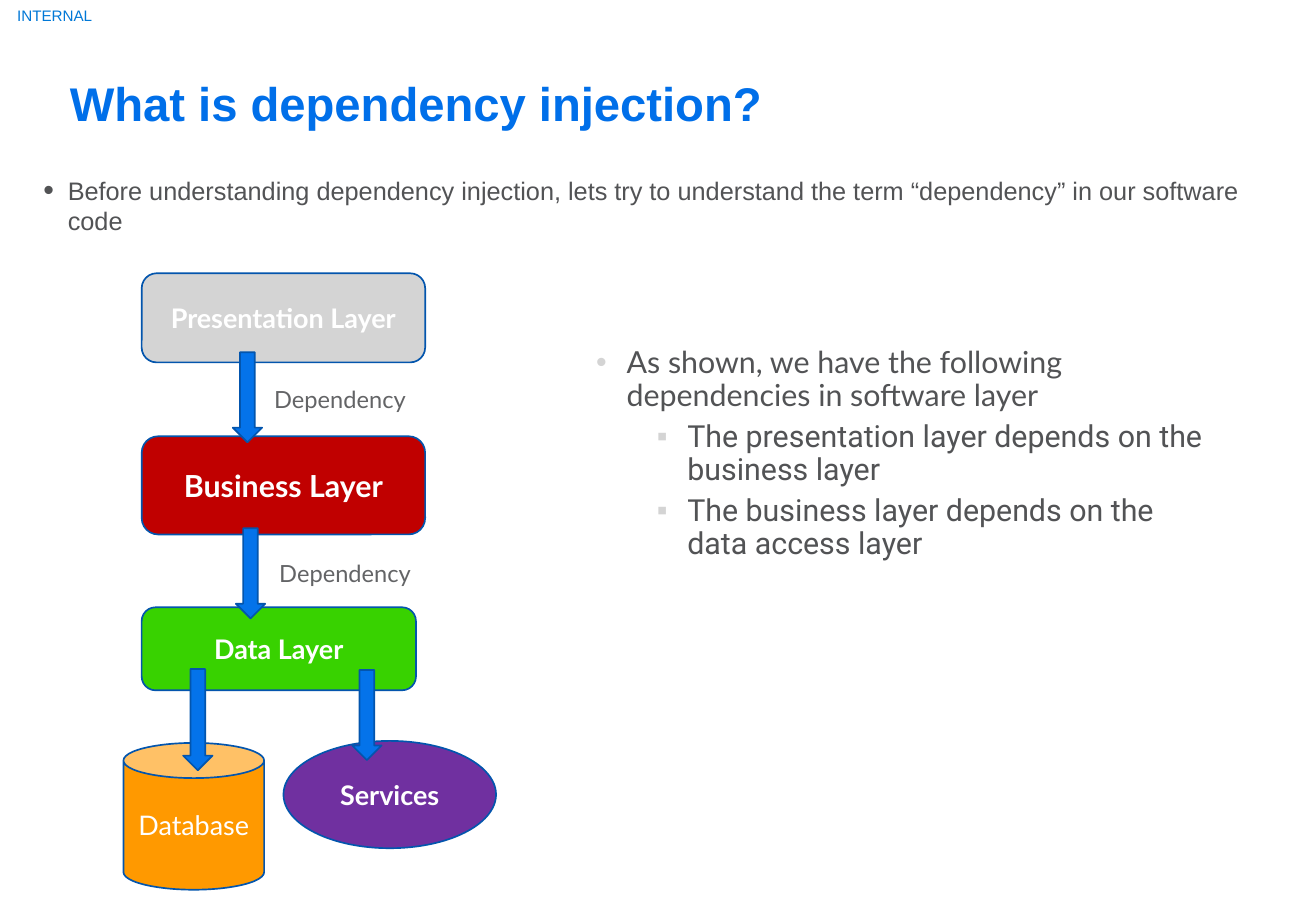
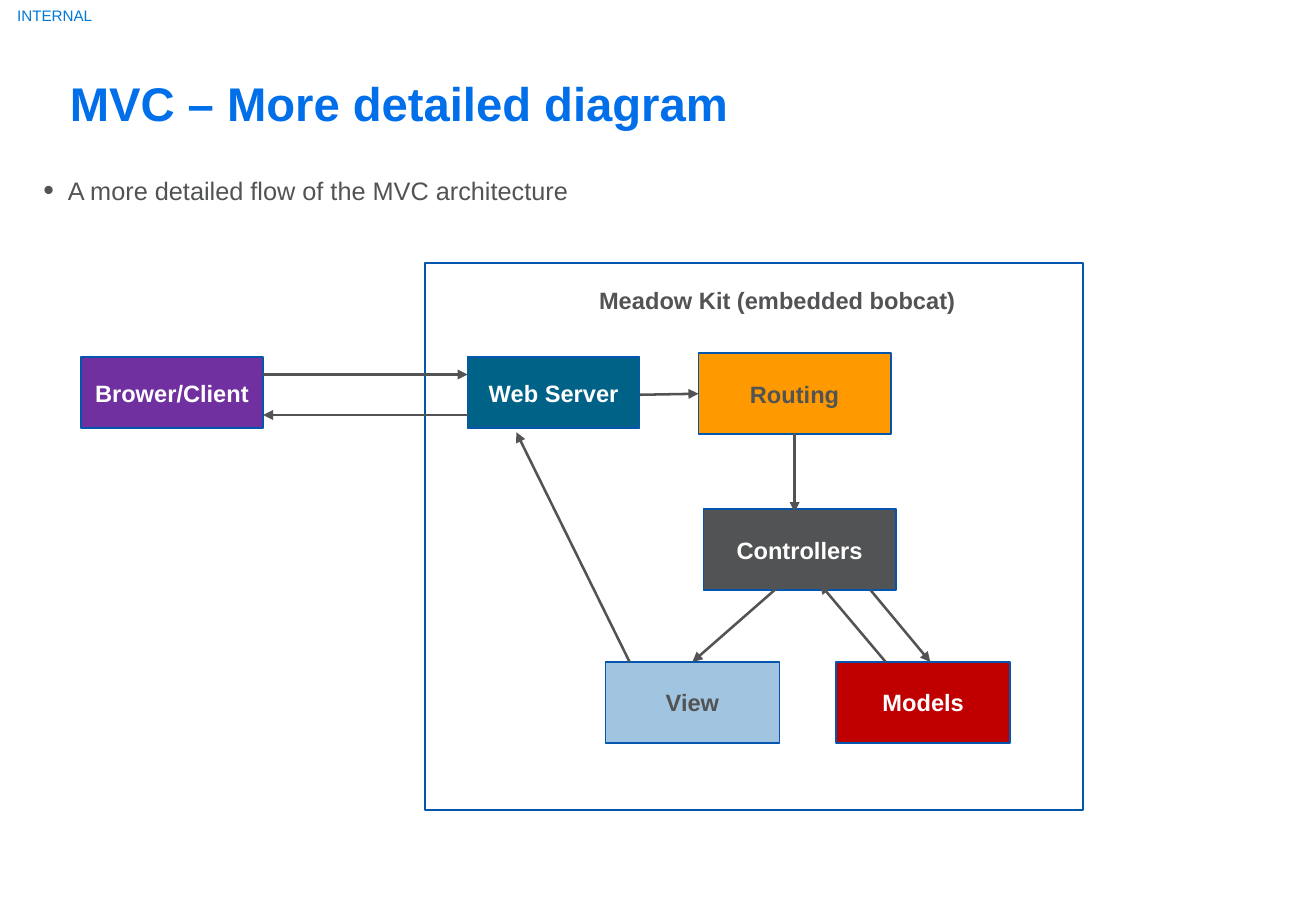
from lxml.etree import SubElement
from pptx import Presentation
from pptx.dml.color import RGBColor
from pptx.enum.shapes import MSO_CONNECTOR as CONN, MSO_SHAPE as SHAPE
from pptx.enum.text import MSO_ANCHOR as ANCHOR, PP_ALIGN as ALIGN
from pptx.oxml.ns import qn
from pptx.util import Inches, Pt

COLS, ROWS = 130, 90
CELL = Inches(1 / 12)
BLUE, EDGE, ARROW = "006FE9", "0355AD", "0473EA"
TEXT, LABEL, PALE, WHITE = "525355", "636466", "D4D4D4", "FFFFFF"
ORANGE, RED, PURPLE = "FF9900", "C00000", "7030A0"


def rgb(value):
    """Turn a hex string into a colour."""
    return RGBColor.from_string(value)


def grid(*values):
    """Turn grid cells into slide lengths."""
    return [round(v * CELL) for v in values]


def inside(box, x, y, w, h):
    """Offset a rectangle by the corner of its region."""
    return box[0] + x, box[1] + y, w, h


def write(p, text, size, color, font="Arial", bold=False):
    """Add one styled run to a paragraph."""
    r = p.add_run()
    r.text = text
    r.font.size, r.font.name, r.font.bold = Pt(size), font, bold
    r.font.color.rgb = rgb(color)


def frame(s, box, inset=False):
    """Add a wrapping text box and return its text frame."""
    tf = s.shapes.add_textbox(*grid(*box)).text_frame
    tf.word_wrap = True
    if not inset:
        tf.margin_left = tf.margin_right = tf.margin_top = tf.margin_bottom = 0
    return tf


def bullet(p, char, left, hang, color=None, percent=None):
    """Give a paragraph a hanging bullet."""
    pPr = p._p.get_or_add_pPr()
    pPr.set("marL", str(Inches(left)))
    pPr.set("indent", str(-Inches(hang)))
    if color:
        SubElement(SubElement(pPr, qn("a:buClr")), qn("a:srgbClr"), val=color)
    if percent:
        SubElement(pPr, qn("a:buSzPct"), val=str(percent * 1000))
    SubElement(pPr, qn("a:buFont"), typeface="Arial")
    SubElement(pPr, qn("a:buChar"), char=char)


def shape(s, kind, box, fill=None):
    """Add an outlined shape, filled if a colour is given."""
    sp = s.shapes.add_shape(kind, *grid(*box))
    sp.shadow.inherit = False
    if fill:
        sp.fill.solid()
        sp.fill.fore_color.rgb = rgb(fill)
    else:
        sp.fill.background()
    sp.line.color.rgb = rgb(EDGE)
    sp.line.width = Pt(1)
    return sp


def node(s, kind, box, fill, text, size, color=WHITE, font="Arial", bold=True):
    """Add a shape with a centred caption."""
    tf = shape(s, kind, box, fill).text_frame
    tf.word_wrap = True
    tf.vertical_anchor = ANCHOR.MIDDLE
    p = tf.paragraphs[0]
    p.alignment = ALIGN.CENTER
    write(p, text, size, color, font, bold)


def arrow(s, box, x1, y1, x2, y2):
    """Draw a line with an arrowhead at its end."""
    dx, dy = box[:2]
    c = s.shapes.add_connector(
        CONN.STRAIGHT, *grid(dx + x1, dy + y1, dx + x2, dy + y2))
    c.line.color.rgb = rgb(TEXT)
    c.line.width = Pt(1.5)
    SubElement(c.line._get_or_add_ln(), qn("a:tailEnd"), type="triangle")
    SubElement(c._element.spPr, qn("a:effectLst"))


def base_slide(prs, title, intro):
    """Add a slide with its marking, title and opening bullet."""
    s = prs.slides.add_slide(prs.slide_layouts[6])
    tf = frame(s, (0, 0, 10.8, 3.1))
    tf.vertical_anchor = ANCHOR.MIDDLE
    tf.paragraphs[0].alignment = ALIGN.CENTER
    write(tf.paragraphs[0], "INTERNAL", 9, "0078D7")
    p = frame(s, (6.9, 9.1, 104.4, 7.9)).paragraphs[0]
    p.line_spacing = Pt(22.8)
    write(p, title, 28, BLUE, bold=True)
    p = frame(s, (4.3, 17.3, 121, 6)).paragraphs[0]
    p.line_spacing = Pt(17.9)
    bullet(p, "•", 0.2, 0.2, percent=120)
    write(p, intro, 15, TEXT)
    return s


def layer_stack(s, box):
    """Draw the layers and the arrows between them."""
    for kind, place, fill, text, size, bold in (
        (SHAPE.ROUNDED_RECTANGLE, (2, 0, 28, 8.8), PALE, "Presentation Layer", 16, True),
        (SHAPE.ROUNDED_RECTANGLE, (2, 16.1, 28, 9.7), RED, "Business Layer", 18, True),
        (SHAPE.ROUNDED_RECTANGLE, (2, 33, 27.1, 8.2), "38D200", "Data Layer", 16, True),
        (SHAPE.CAN, (0.2, 46.4, 13.9, 14.5), ORANGE, "Database", 16, False),
        (SHAPE.OVAL, (16, 46.2, 21, 10.6), PURPLE, "Services", 16, True),
    ):
        node(s, kind, inside(box, *place), fill, text, size, font="Lato", bold=bold)
    for x, y, h in ((11, 7.8, 8.9), (11.3, 25.2, 8.9), (6.1, 39.1, 10), (22.8, 39.2, 8.9)):
        shape(s, SHAPE.DOWN_ARROW, inside(box, x, y, 2.9, h), ARROW)
    for x, y in ((13.9, 10.4), (14.4, 27.6)):
        tf = frame(s, inside(box, x, y, 19.3, 4.1), inset=True)
        write(tf.paragraphs[0], "Dependency", 14, LABEL, "Lato")


def dependency_list(s, box):
    """List the dependencies on two levels."""
    tf = frame(s, box)
    for i, (text, font, char, left) in enumerate((
        ("As shown, we have the following dependencies in software layer", "Lato", "•", 0.25),
        ("The presentation layer depends on the business layer", "Roboto", "▪", 0.75),
        ("The business layer depends on the data access layer", "Roboto", "▪", 0.75),
    )):
        p = tf.add_paragraph() if i else tf.paragraphs[0]
        p.level = int(i > 0)
        p.line_spacing = 0.9
        p.space_before = Pt(5 if i else 0)
        bullet(p, char, left, 0.25, PALE)
        write(p, text, 18, TEXT, font)


def request_flow(s, box):
    """Draw the client, the server frame and the request path."""
    shape(s, SHAPE.RECTANGLE, inside(box, 34, 0, 65, 54))
    tf = frame(s, inside(box, 50, 1.7, 42, 4.1), inset=True)
    write(tf.paragraphs[0], "Meadow Kit (embedded bobcat)", 14, TEXT, bold=True)
    for place, fill, text, color in (
        ((0, 9.3, 18, 7), PURPLE, "Brower/Client", WHITE),
        ((38.2, 9.3, 17, 7), "006286", "Web Server", WHITE),
        ((61, 8.9, 19, 8), ORANGE, "Routing", TEXT),
        ((61.5, 24.3, 19, 8), TEXT, "Controllers", WHITE),
        ((74.6, 39.4, 17.2, 8), RED, "Models", WHITE),
        ((51.8, 39.4, 17.2, 8), "A1C5E0", "View", TEXT),
    ):
        node(s, SHAPE.RECTANGLE, inside(box, *place), fill, text, 14, color)
    for ends in (
        (18, 11, 38.2, 11),
        (38.2, 15, 18, 15),
        (55.2, 13, 61, 12.9),
        (70.5, 16.8, 70.5, 24.6),
        (69.2, 31.7, 60.4, 39.4),
        (78, 32.3, 83.9, 39.4),
        (79.5, 39.4, 73, 31.7),
        (54.2, 39.4, 43, 16.7),
    ):
        arrow(s, box, *ends)


def main():
    """Build and save the presentation."""
    prs = Presentation()
    prs.slide_width, prs.slide_height = grid(COLS, ROWS)
    s = base_slide(
        prs, "What is dependency injection?",
        "Before understanding dependency injection, lets try to understand "
        "the term “dependency” in our software code")
    layer_stack(s, (12, 27, 37, 61))
    dependency_list(s, (58.9, 34.3, 61.1, 44.6))
    s = base_slide(
        prs, "MVC – More detailed diagram",
        "A more detailed flow of the MVC architecture")
    request_flow(s, (8, 26, 99, 54))
    prs.save("out.pptx")


if __name__ == "__main__":
    main()
